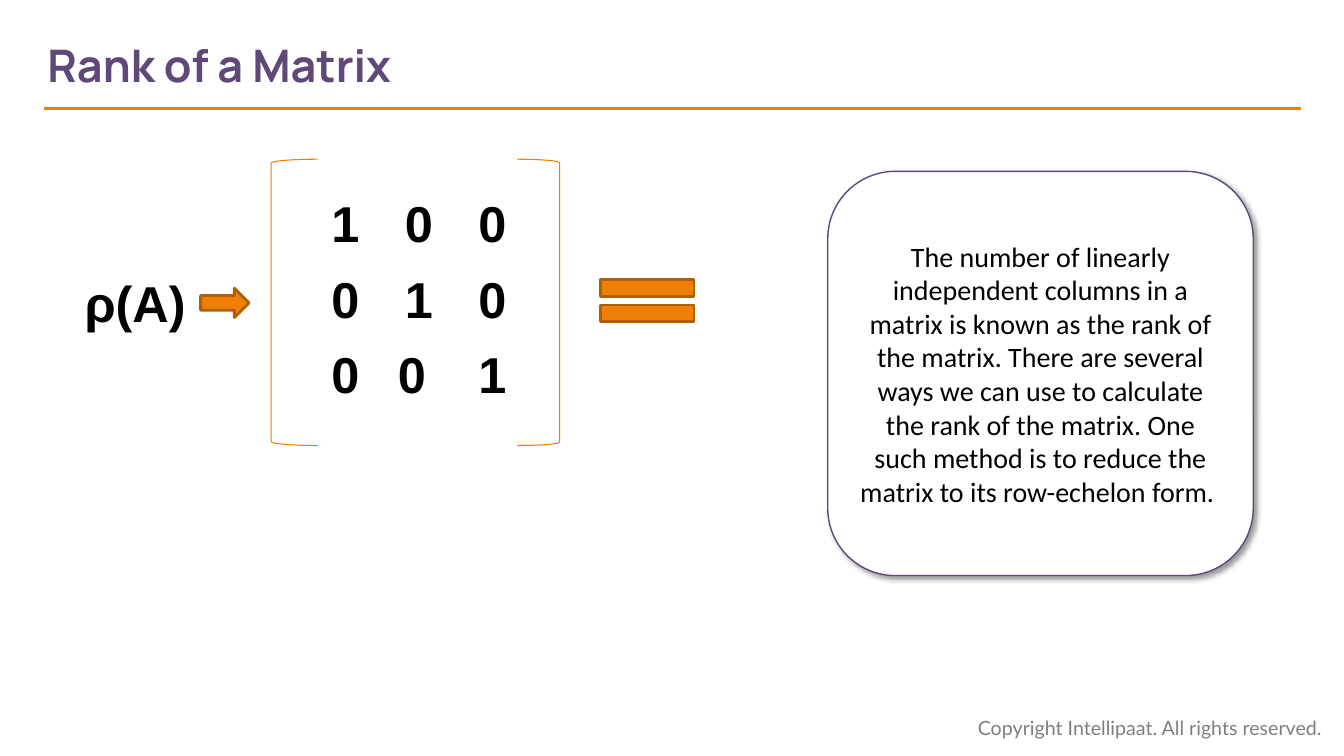
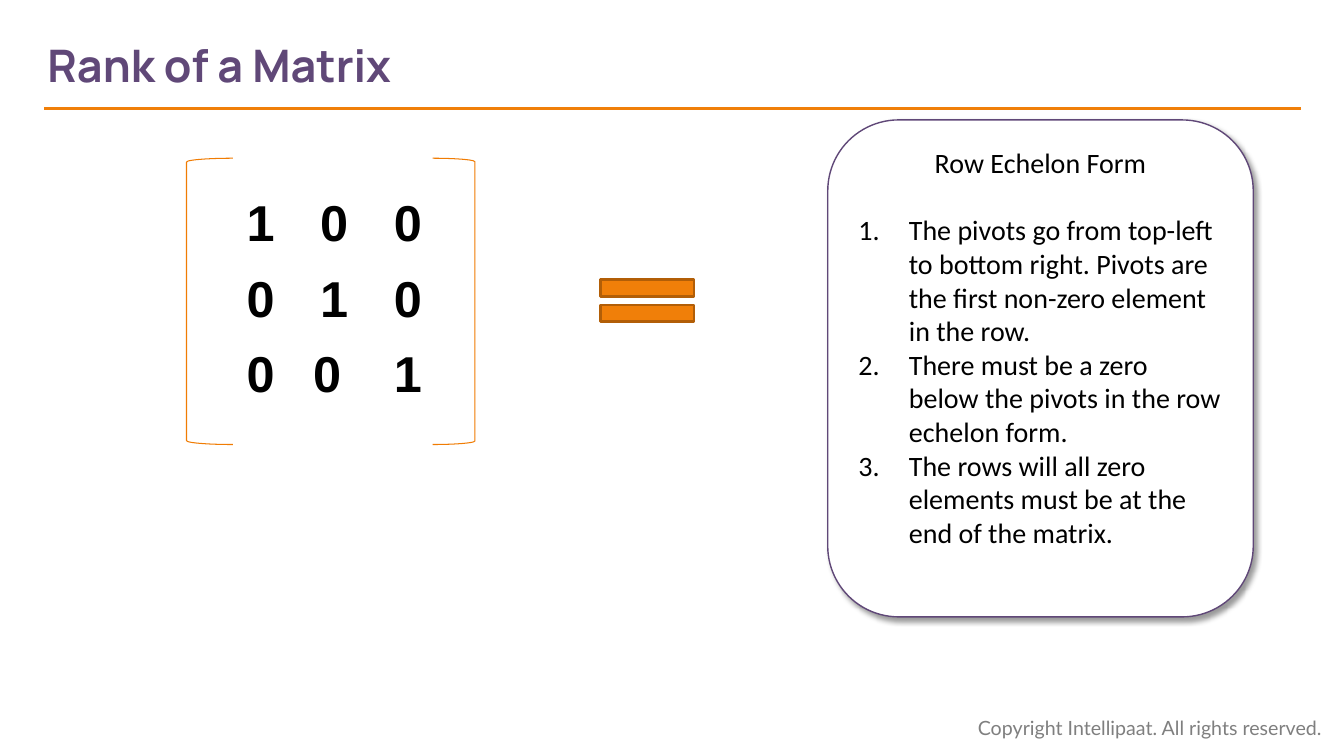
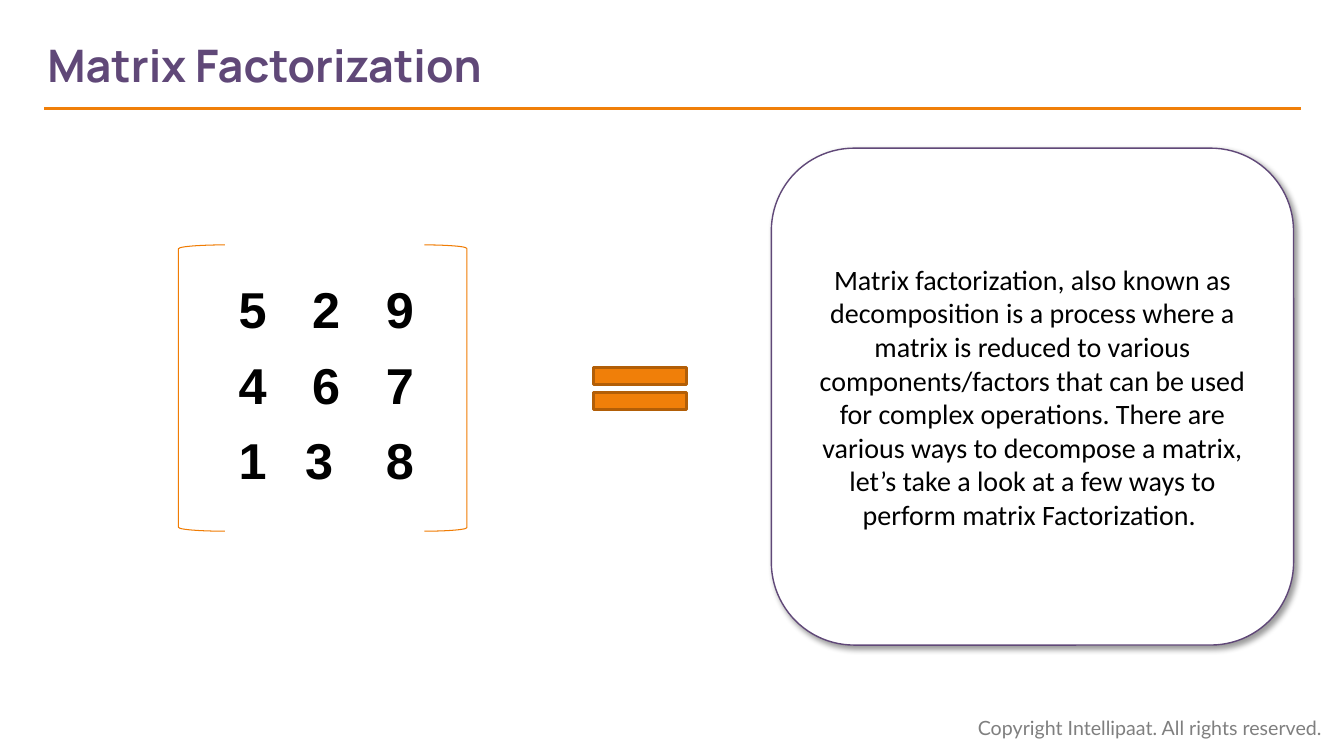
from lxml import etree
from pptx import Presentation
from pptx import util as u
from pptx.dml import color
from pptx.enum import shapes, text
from pptx.oxml import ns

PX = 9144
ORANGE, DARK_ORANGE, BRACKET = "F07F09", "B25E07", "F07C03"
PURPLE, BLACK, WHITE, GREY = "604878", "000000", "FFFFFF", "7F7F7F"
KIND = shapes.MSO_SHAPE
MIDDLE, TOP = text.MSO_ANCHOR.MIDDLE, text.MSO_ANCHOR.TOP
LEFT, CENTER = text.PP_ALIGN.LEFT, text.PP_ALIGN.CENTER

IDENTITY = [["1", "0", "0"], ["0", "1", "0"], ["0", "0 ", "1"]]
SAMPLE = [["5", "2", "9"], ["4", "6", "7"], ["1", "3 ", "8"]]
RANK = ("The number of linearly independent columns in a matrix is known as the rank "
        "of the matrix. There are several ways we can use to calculate the rank of the "
        "matrix. One such method is to reduce the matrix to its row-echelon form. ")
ECHELON_RULES = [
    "The pivots go from top-left to bottom right. Pivots are the first non-zero "
    "element in the row.",
    "There must be a zero below the pivots in the row echelon form.",
    "The rows will all zero elements must be at the end of the matrix.",
]
FACTORIZATION = (
    "Matrix factorization, also known as decomposition is a process where a matrix is "
    "reduced to various components/factors that can be used for complex operations. "
    "There are various ways to decompose a matrix, let’s take a look at a few ways to "
    "perform matrix Factorization. ")


def px(*lengths):
    """Turn px lengths into EMU."""
    return [u.Emu(length * PX) for length in lengths]


def rgb(code):
    """Turn a hex string into a colour."""
    return color.RGBColor.from_string(code)


def child(parent, tag, **attributes):
    """Append a DrawingML element to its parent."""
    return etree.SubElement(parent, ns.qn(tag), attributes)


def number(para, hanging=50):
    """Give a paragraph an automatic number and a hanging indent."""
    indent = hanging * PX
    props = para._p.get_or_add_pPr()
    props.set("marL", str(indent))
    props.set("indent", str(-indent))
    child(child(props, "a:buClr"), "a:srgbClr", val=BLACK)
    child(props, "a:buFont", typeface="+mj-lt")
    child(props, "a:buAutoNum", type="arabicPeriod")


def write(frame, words, size=20, font="Calibri", ink=BLACK, bold=False,
          align=LEFT, after=0, numbered=False):
    """Add one formatted paragraph to a text frame."""
    para = frame.paragraphs[0]
    if para.runs:
        para = frame.add_paragraph()
    para.alignment = align
    para.space_after = u.Pt(after)
    if numbered:
        number(para)
    span = para.add_run()
    span.text = words
    span.font.size = u.Pt(size)
    span.font.name = font
    span.font.bold = bold
    span.font.color.rgb = rgb(ink)


def label(page, box, words, anchor=TOP, inset=10, **format):
    """Place a text box with one paragraph."""
    frame = page.shapes.add_textbox(*px(*box)).text_frame
    frame.word_wrap = True
    frame.vertical_anchor = anchor
    frame.margin_left = px(inset)[0]
    write(frame, words, **format)


def figure(page, kind, box, fill=None, line=DARK_ORANGE, weight=2):
    """Place a preset shape without a shadow."""
    shape = page.shapes.add_shape(kind, *px(*box))
    shape.shadow.inherit = False
    if fill:
        shape.fill.solid()
        shape.fill.fore_color.rgb = rgb(fill)
    else:
        shape.fill.background()
    shape.line.color.rgb = rgb(line)
    shape.line.width = u.Pt(weight)
    return shape


def card(page, box, anchor=MIDDLE):
    """Place a shadowed rounded card and return its text frame."""
    shape = figure(page, KIND.ROUNDED_RECTANGLE, box, WHITE, PURPLE, 1)
    effects = shape._element.spPr.find(ns.qn("a:effectLst"))
    shadow = child(effects, "a:outerShdw", blurRad=str(u.Pt(4)), dist=str(u.Pt(3)),
                   dir="2700000", algn="tl", rotWithShape="0")
    child(child(shadow, "a:srgbClr", val=BLACK), "a:alpha", val="40000")
    frame = shape.text_frame
    frame.word_wrap = True
    frame.vertical_anchor = anchor
    return frame


def matrix(page, left, top, rows):
    """Place a bracketed matrix of bold numbers."""
    width, height, cell_width, cell_height = 286, 284, 73, 75
    for kind, offset, span in ((KIND.LEFT_BRACKET, 0, 46),
                               (KIND.RIGHT_BRACKET, width - 42, 42)):
        figure(page, kind, (left + offset, top, span, height), None, BRACKET, 0.75)
    box = px(left + 37, top + 28, cell_width * len(rows[0]), cell_height * len(rows))
    table = page.shapes.add_table(len(rows), len(rows[0]), *box).table
    table.first_row = table.horz_banding = False
    for row, values in zip(table.rows, rows):
        row.height = px(cell_height)[0]
        for cell, value in zip(row.cells, values):
            cell.fill.background()
            cell.vertical_anchor = MIDDLE
            write(cell.text_frame, value, size=36, font="Arial", bold=True, align=CENTER)


def equals(page, left, top):
    """Place the orange equals sign."""
    figure(page, KIND.MATH_EQUAL, (left, top, 126, 71), ORANGE)


def new_page(deck, title):
    """Add a slide with the shared footer, rule and title."""
    page = deck.slides.add_slide(deck.slide_layouts[6])
    label(page, (960, 705, 367, 34), "Copyright Intellipaat. All rights reserved.",
          size=14, font="Lato", ink=GREY)
    rule = page.shapes.add_connector(shapes.MSO_CONNECTOR.STRAIGHT,
                                     *px(1290, 108, 44, 108))
    rule.line.color.rgb = rgb(ORANGE)
    rule.line.width = u.Pt(2.25)
    child(rule._element.spPr, "a:effectLst")
    label(page, (47, 22, 947, 84), title, anchor=MIDDLE, inset=0,
          size=32, font="Manrope", ink=PURPLE, bold=True)
    return page


def rank_page(deck):
    """Build the slide that defines rank."""
    page = new_page(deck, "Rank of a Matrix")
    matrix(page, 269, 158, IDENTITY)
    write(card(page, (821, 170, 422, 401)), RANK, align=CENTER)
    equals(page, 579, 263)
    label(page, (74, 265, 132, 71), "ρ(A)", size=36, font="Arial", bold=True)
    figure(page, KIND.RIGHT_ARROW, (199, 286, 48, 29), ORANGE)


def echelon_page(deck):
    """Build the slide that lists the row echelon rules."""
    page = new_page(deck, "Rank of a Matrix")
    matrix(page, 185, 157, IDENTITY)
    equals(page, 579, 263)
    frame = card(page, (821, 119, 422, 493), anchor=TOP)
    write(frame, "Row Echelon Form", align=CENTER, after=24)
    for rule in ECHELON_RULES:
        write(frame, rule, numbered=True)


def factorization_page(deck):
    """Build the slide that introduces factorization."""
    page = new_page(deck, "Matrix Factorization")
    matrix(page, 177, 243, SAMPLE)
    equals(page, 572, 350)
    write(card(page, (765, 147, 518, 493)), FACTORIZATION, align=CENTER)


def main():
    """Build and save the deck."""
    deck = Presentation()
    deck.slide_width, deck.slide_height = px(1333, 750)
    rank_page(deck)
    echelon_page(deck)
    factorization_page(deck)
    deck.save("out.pptx")


if __name__ == "__main__":
    main()
